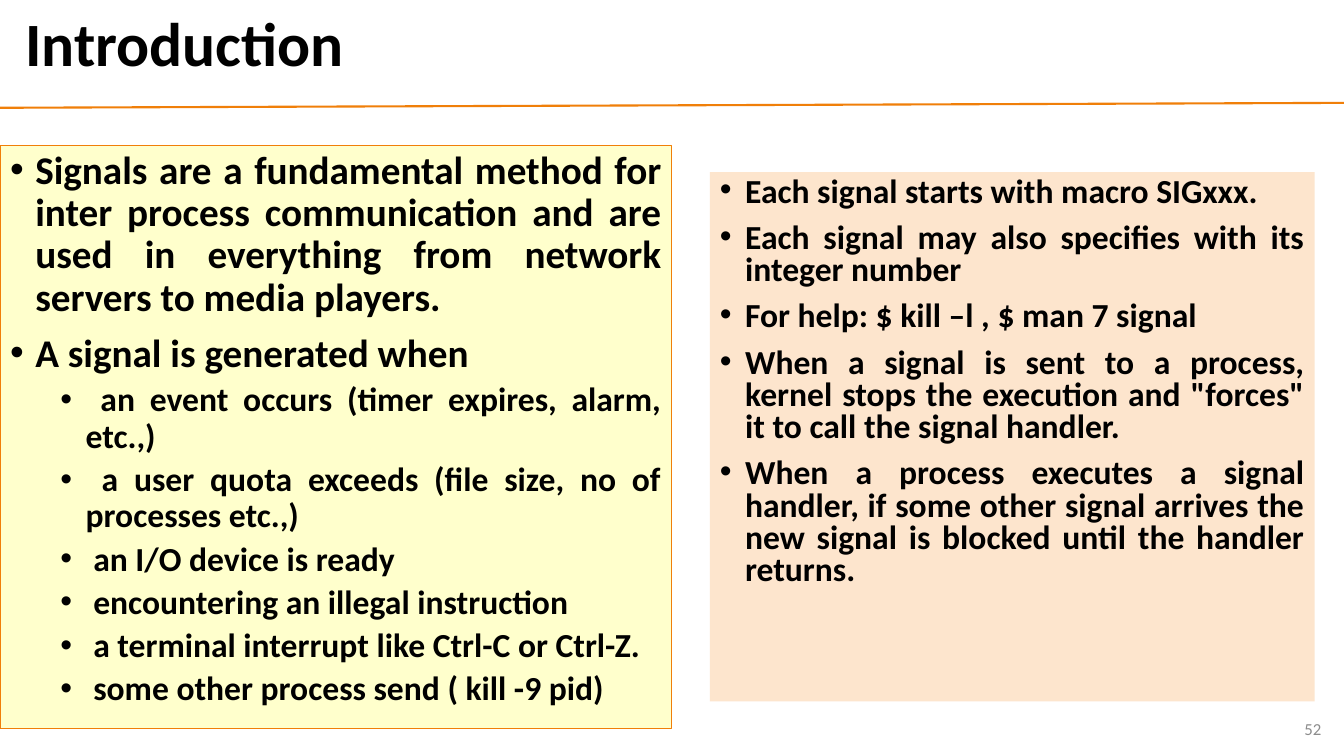
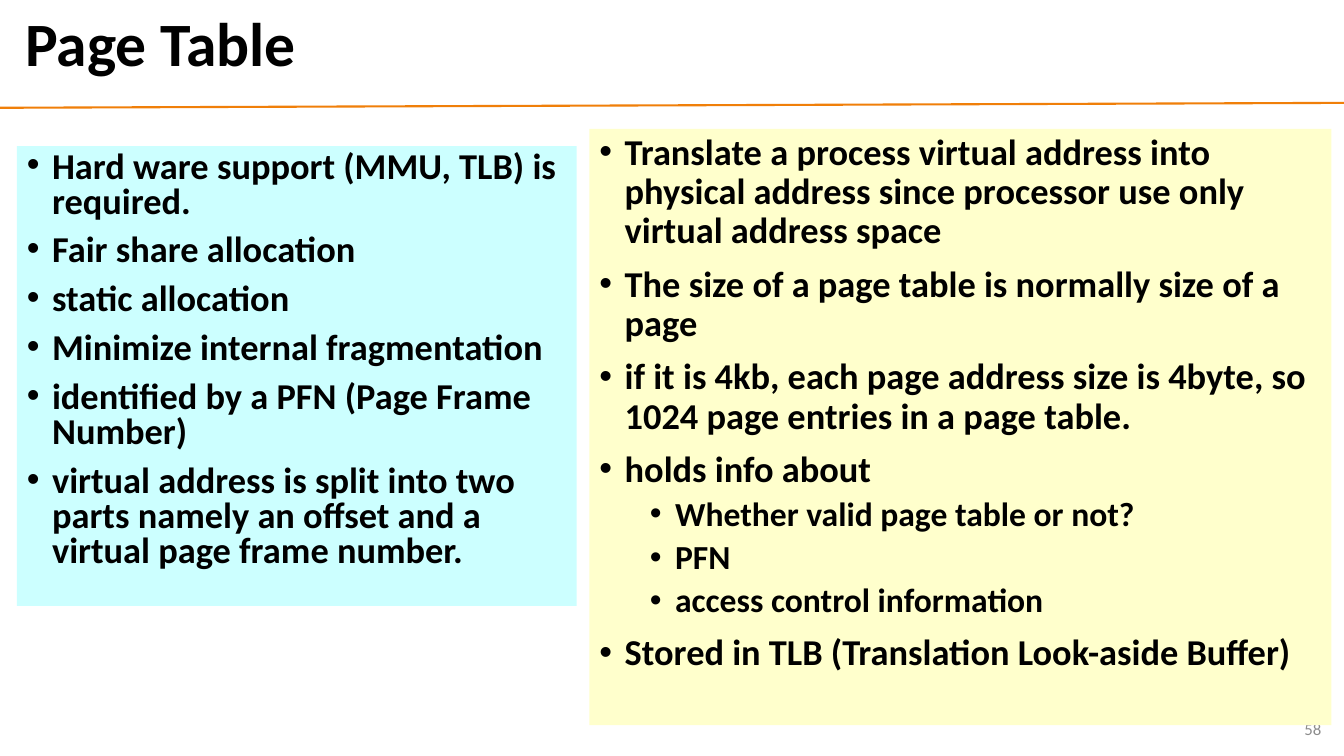
from dataclasses import dataclass
from lxml.etree import SubElement
from pptx import Presentation
from pptx.dml.color import RGBColor as RGB
from pptx.enum.text import MSO_ANCHOR as Anchor, MSO_AUTO_SIZE as AutoSize, PP_ALIGN as Align
from pptx.oxml.ns import qn
from pptx.util import Pt


@dataclass(frozen=True)
class Theme:
    font: str = "Calibri"
    text: RGB = RGB(0x00, 0x00, 0x00)
    muted: RGB = RGB(0x8C, 0x8C, 0x8C)
    accent: RGB = RGB(0xF0, 0x7F, 0x09)
    yellow: RGB = RGB(0xFF, 0xFF, 0xCC)
    peach: RGB = RGB(0xFD, 0xE5, 0xCD)
    cyan: RGB = RGB(0xCC, 0xFF, 0xFF)
    title_size: int = 44
    sub_size: int = 24
    number_size: int = 12


T = Theme()
WIDTH, HEIGHT = 960, 540
TWO_CONTENT = 3
INDENT = 18

SIGNALS = [
    (0, "Signals are a fundamental method for inter process communication and are "
        "used in everything from network servers to media players."),
    (0, "A signal is generated when"),
    (1, " an event occurs (timer expires, alarm, etc.,)"),
    (1, " a user quota exceeds (file size, no of processes etc.,)"),
    (1, " an I/O device is ready"),
    (1, " encountering an illegal instruction"),
    (1, " a terminal interrupt like Ctrl-C or Ctrl-Z."),
    (1, " some other process send ( kill -9 pid)"),
]
HANDLING = [
    (0, "Each signal starts with macro SIGxxx."),
    (0, "Each signal may also specifies with its integer number"),
    (0, "For help: $ kill –l , $ man 7 signal"),
    (0, "When a signal is sent to a process, kernel stops the execution and "
        "\"forces\" it to call the signal handler."),
    (0, "When a process executes a signal handler, if some other signal arrives "
        "the new signal is blocked until the handler returns."),
]
ALLOCATION = [
    (0, "Hard ware support (MMU, TLB) is required."),
    (0, "Fair share allocation"),
    (0, "static allocation"),
    (0, "Minimize internal fragmentation"),
    (0, "identified by a PFN (Page Frame Number)"),
    (0, "virtual address is split into two parts namely an offset and a virtual "
        "page frame number."),
]
PAGE_TABLE = [
    (0, "Translate a process virtual address into physical address since processor "
        "use only virtual address space"),
    (0, "The size of a page table is normally size of a page"),
    (0, "if it is 4kb, each page address size is 4byte, so 1024 page entries in a "
        "page table."),
    (0, "holds info about"),
    (1, "Whether valid page table or not?"),
    (1, "PFN"),
    (1, "access control information"),
    (0, "Stored in TLB (Translation Look-aside Buffer)"),
]


def place(sp, left, top, width, height):
    sp.left, sp.top, sp.width, sp.height = Pt(left), Pt(top), Pt(width), Pt(height)


def style_runs(p, size, color=T.text, bold=True):
    for r in p.runs:
        r.font.name, r.font.size, r.font.bold = T.font, Pt(size), bold
        r.font.color.rgb = color


def set_bullet(p, level):
    pPr = p._p.get_or_add_pPr()
    pPr.set("marL", str(Pt(INDENT * (1 + 2 * level))))
    pPr.set("indent", str(-Pt(INDENT)))
    SubElement(pPr, qn("a:buChar")).set("char", "•")


def add_title(s, text):
    sp = s.shapes.title
    place(sp, 10.8, 3.6, 928, 60)
    tf = sp.text_frame
    tf.text = text
    tf.auto_size, tf.vertical_anchor = AutoSize.NONE, Anchor.MIDDLE
    p = tf.paragraphs[0]
    p.alignment, p.line_spacing = Align.LEFT, 0.9
    style_runs(p, T.title_size)


def add_rule(s):
    rule = s.shapes.add_connector(1, 0, Pt(77), Pt(WIDTH), Pt(73.5))
    rule.line.color.rgb, rule.line.width = T.accent, Pt(1.5)
    SubElement(rule.element.spPr, qn("a:effectLst"))


def add_number(s, number):
    tf = s.shapes.add_textbox(Pt(735), Pt(506), Pt(216), Pt(28.8)).text_frame
    tf.word_wrap, tf.vertical_anchor = True, Anchor.MIDDLE
    tf.text = str(number)
    p = tf.paragraphs[0]
    p.alignment = Align.RIGHT
    style_runs(p, T.number_size, T.muted, bold=False)


def fill_panel(s, index, box, fill, items, size, spacing=0.9, align=Align.LEFT, border=None):
    """Turn a body placeholder into a coloured bullet panel in front of the slide number."""
    sp = s.placeholders[index]
    s.shapes.element.append(sp.element)
    place(sp, *box)
    sp.fill.solid()
    sp.fill.fore_color.rgb = fill
    if border:
        sp.line.color.rgb, sp.line.width = border, Pt(0.75)
    tf = sp.text_frame
    tf.text = "\n".join(text for _, text in items)
    tf.auto_size = AutoSize.NONE
    for p, (level, _) in zip(tf.paragraphs, items):
        p.level, p.alignment, p.line_spacing = level, align, spacing
        p.space_before = Pt(5 if level else 10)
        set_bullet(p, level)
        style_runs(p, T.sub_size if level else size)


def add_slide(prs, title, number):
    s = prs.slides.add_slide(prs.slide_layouts[TWO_CONTENT])
    add_rule(s)
    add_title(s, title)
    add_number(s, number)
    return s


def main():
    prs = Presentation()
    prs.slide_width, prs.slide_height = Pt(WIDTH), Pt(HEIGHT)

    s = add_slide(prs, "Introduction", 52)
    fill_panel(s, 1, (0, 103.7, 479.5, 416.9), T.yellow, SIGNALS, 28,
               align=Align.JUSTIFY, border=T.accent)
    fill_panel(s, 2, (507, 123, 432, 378), T.peach, HANDLING, 24,
               spacing=0.8, align=Align.JUSTIFY)

    s = add_slide(prs, "Page Table", 58)
    fill_panel(s, 1, (12, 104.4, 400, 328.3), T.cyan, ALLOCATION, 26, spacing=0.8)
    fill_panel(s, 2, (421, 92, 530, 426), T.yellow, PAGE_TABLE, 26)

    prs.save("out.pptx")


if __name__ == "__main__":
    main()
